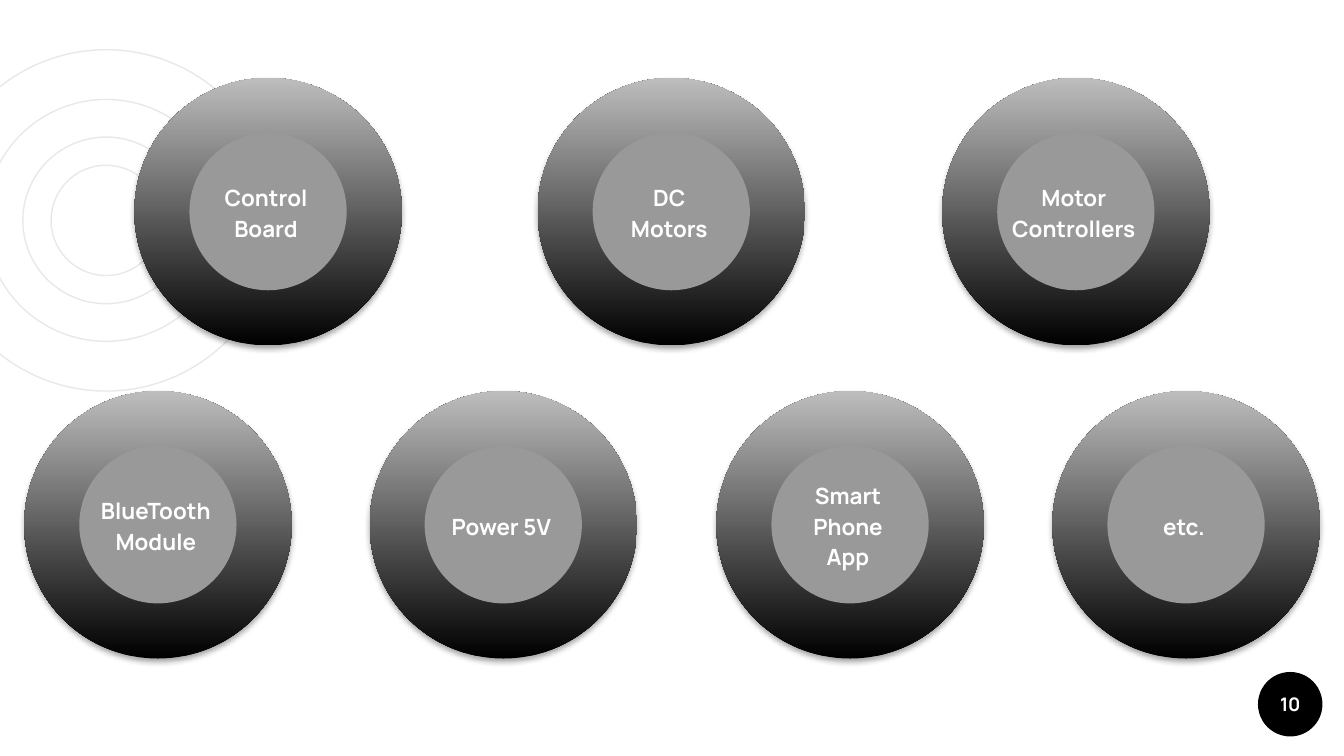
from pptx import Presentation
from pptx.dml.color import RGBColor
from pptx.enum.shapes import MSO_SHAPE
from pptx.enum.text import MSO_ANCHOR, PP_ALIGN
from pptx.oxml import parse_xml
from pptx.util import Inches, Pt

COLORS = {
    "black": "000000",
    "ring_top": "BDBDBD",
    "core": "999999",
    "outline": "E8E8E8",
    "text": "FFFFFF",
}
FONT = "Manrope"
SHADOW = (
    '<a:outerShdw xmlns:a="http://schemas.openxmlformats.org/drawingml/2006/main" '
    'blurRad="40000" dist="23000" dir="5400000" rotWithShape="0">'
    '<a:srgbClr val="000000"><a:alpha val="35000"/></a:srgbClr></a:outerShdw>'
)


def add_circle(left, top, size, fill=None, line=None):
    """Draw a circle without a shadow."""
    sp = slide.shapes.add_shape(
        MSO_SHAPE.OVAL, Inches(left), Inches(top), Inches(size), Inches(size))
    sp.shadow.inherit = False
    if fill:
        sp.fill.solid()
        sp.fill.fore_color.rgb = RGBColor.from_string(COLORS[fill])
    else:
        sp.fill.background()
    if line:
        sp.line.color.rgb = RGBColor.from_string(COLORS[line])
        sp.line.width = Pt(0.75)
    else:
        sp.line.fill.background()
    return sp


def add_label(left, top, width, height, text, size, spacing=None):
    """Add a text box with centred bold text."""
    box = slide.shapes.add_textbox(
        Inches(left), Inches(top), Inches(width), Inches(height))
    tf = box.text_frame
    tf.word_wrap = True
    tf.vertical_anchor = MSO_ANCHOR.MIDDLE
    tf.margin_left = tf.margin_right = Inches(0.1)
    tf.margin_top = tf.margin_bottom = Inches(0.1)
    tf.text = text
    p = tf.paragraphs[0]
    p.alignment = PP_ALIGN.CENTER
    p.line_spacing = spacing
    font = p.runs[0].font
    font.name, font.size, font.bold = FONT, Pt(size), True
    font.color.rgb = RGBColor.from_string(COLORS["text"])


prs = Presentation()
prs.slide_width = Inches(10)
prs.slide_height = prs.slide_width * 9 // 16
slide = prs.slides.add_slide(prs.slide_layouts[6])

# Concentric outlines in the background
for diameter in (2.54, 1.8, 1.24, 0.82):
    add_circle(0.79 - diameter / 2, 1.64 - diameter / 2, diameter, line="outline")

# Page number
add_circle(9.36, 5, 0.48, fill="black")
add_label(9.36, 5, 0.48, 0.48, "10", 10)

# Components: top of the row, then (left, label, label width)
rows = [
    (0.58, [(1, "Control Board", 1), (4, "DC Motors", 1),
            (7.01, "Motor Controllers", 1.33)]),
    (2.91, [(0.18, "BlueTooth Module", 1.33), (2.75, "Power 5V", 1),
            (5.33, "Smart Phone App", 1), (7.83, "etc.", 1)]),
]
for top, components in rows:
    for left, name, label_width in components:
        ring = add_circle(left, top, 1.99)
        ring.fill.gradient()
        ring.fill.gradient_angle = 90
        for stop, color in zip(ring.fill.gradient_stops, ("black", "ring_top")):
            stop.color.rgb = RGBColor.from_string(COLORS[color])
        effects = ring._element.spPr.find(
            "{http://schemas.openxmlformats.org/drawingml/2006/main}effectLst")
        effects.append(parse_xml(SHADOW))
        add_circle(left + 0.41, top + 0.41, 1.17, fill="core")
        add_label(left + 0.98 - label_width / 2, top + 0.59, label_width, 0.8,
                  name, 12, 1.15)

prs.save("out.pptx")
